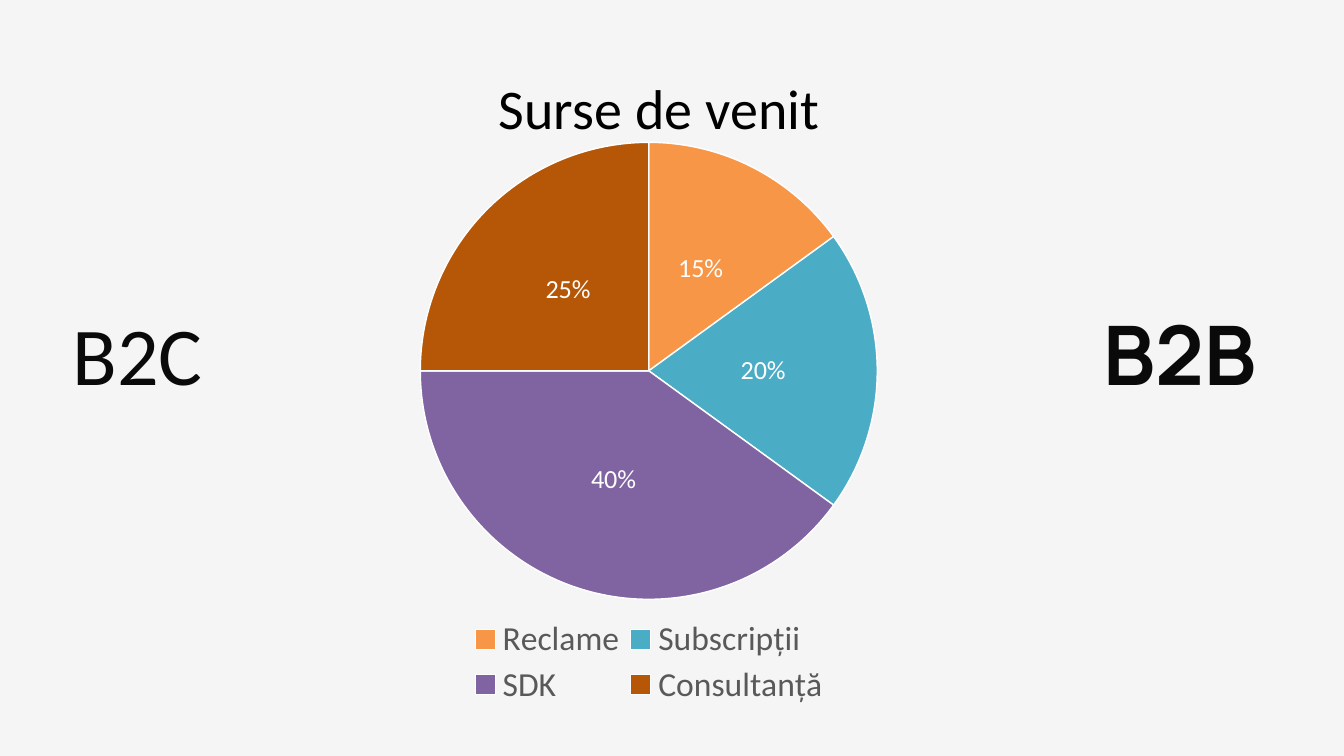
from dataclasses import dataclass

from lxml.etree import SubElement
from pptx import Presentation
from pptx.chart.data import CategoryChartData
from pptx.dml.color import RGBColor
from pptx.enum.chart import XL_CHART_TYPE, XL_LABEL_POSITION, XL_LEGEND_POSITION
from pptx.enum.text import MSO_AUTO_SIZE
from pptx.oxml.ns import qn
from pptx.util import Inches, Pt


@dataclass(frozen=True)
class Theme:
    """Colours, fonts and type sizes of the slide."""
    background: str = "F5F5F5"
    ink: str = "0B0A0A"
    title: str = "000000"
    legend: str = "595959"
    white: str = "FFFFFF"
    slices: tuple = ("F79646", "4BACC6", "8064A2", "B65708")
    body_font: str = "Calibri"
    strong_font: str = "Manrope"
    side_size: int = 88
    side_spacing: float = 57.4
    title_size: int = 60
    legend_size: int = 36
    label_size: int = 28


THEME = Theme()
REVENUE = {"Reclame": 15, "Subscripții": 20, "SDK": 40, "Consultanță": 25}


def style_font(font, size, color, name=THEME.body_font, bold=False):
    """Set the size, colour, typeface and weight of a font."""
    font.size = Pt(size)
    font.color.rgb = RGBColor.from_string(color)
    font.name = name
    font.bold = bold


def add_side_label(s, text, left, font_name, bold=False):
    """Add a large label beside the chart."""
    sp = s.shapes.add_textbox(Inches(left), Inches(5.19), Inches(3.87), Inches(1))
    tf = sp.text_frame
    tf.word_wrap = True
    tf.auto_size = MSO_AUTO_SIZE.SHAPE_TO_FIT_TEXT
    tf.margin_left = tf.margin_right = tf.margin_top = tf.margin_bottom = 0
    p = tf.paragraphs[0]
    p.text = text
    p.line_spacing = Pt(THEME.side_spacing)
    style_font(p.runs[0].font, THEME.side_size, THEME.ink, font_name, bold)


def place(element, index, inner=False, **fractions):
    """Give a chart part a manual layout in fractions of the chart."""
    for old in element.findall(qn("c:layout")):
        element.remove(old)
    layout = SubElement(element, qn("c:layout"))
    element.insert(index, layout)
    manual = SubElement(layout, qn("c:manualLayout"))
    if inner:
        SubElement(manual, qn("c:layoutTarget")).set("val", "inner")
    for axis in ("x", "y"):
        SubElement(manual, qn(f"c:{axis}Mode")).set("val", "edge")
    for key, value in fractions.items():
        SubElement(manual, qn(f"c:{key}")).set("val", str(value))


def add_title(chart, text):
    """Add the chart title."""
    chart.has_title = True
    tf = chart.chart_title.text_frame
    tf.text = text
    style_font(tf.paragraphs[0].runs[0].font, THEME.title_size, THEME.title)
    chart.chart_title.include_in_layout = False
    place(chart._chartSpace.chart.find(qn("c:title")), 1, x=0.24, y=0.03)


def add_legend(chart):
    """Add the legend below the pie."""
    chart.has_legend = True
    legend = chart.legend
    legend.position = XL_LEGEND_POSITION.BOTTOM
    legend.include_in_layout = False
    style_font(legend.font, THEME.legend_size, THEME.legend)
    place(chart._chartSpace.chart.find(qn("c:legend")), 1, x=0.2, y=0.85, w=0.6, h=0.14)


def style_slices(plot):
    """Colour the slices and label them with percentages."""
    plot.vary_by_categories = True
    for i, color in enumerate(THEME.slices):
        fmt = plot.series[0].points[i].format
        fmt.fill.solid()
        fmt.fill.fore_color.rgb = RGBColor.from_string(color)
        fmt.line.color.rgb = RGBColor.from_string(THEME.white)
        fmt.line.width = Pt(1.5)
    labels = plot.series[0].data_labels
    labels.show_percentage = True
    labels.show_value = False
    labels.number_format = "0%"
    labels.number_format_is_linked = False
    labels.position = XL_LABEL_POSITION.CENTER
    style_font(labels.font, THEME.label_size, THEME.white)


def add_revenue_pie(s):
    """Add the pie chart of revenue sources."""
    data = CategoryChartData()
    data.categories = list(REVENUE)
    data.add_series("Series 1", list(REVENUE.values()))
    frame = s.shapes.add_chart(XL_CHART_TYPE.PIE, Inches(5.06), Inches(0.58),
                               Inches(9.19), Inches(10.08), data)
    chart = frame.chart
    style_font(chart.font, 10, THEME.title)
    add_title(chart, "Surse de venit")
    add_legend(chart)
    style_slices(chart.plots[0])
    place(chart._chartSpace.chart.plotArea, 0, inner=True, x=0.13, y=0.15, w=0.74, h=0.68)


def main():
    """Build the slide and save it."""
    prs = Presentation()
    prs.slide_width, prs.slide_height = Inches(20), Inches(11.25)
    s = prs.slides.add_slide(prs.slide_layouts[6])
    fill = s.background.fill
    fill.solid()
    fill.fore_color.rgb = RGBColor.from_string(THEME.background)
    add_side_label(s, "B2C", 1.08, THEME.body_font)
    add_side_label(s, "B2B", 16.42, THEME.strong_font, bold=True)
    add_revenue_pie(s)
    prs.save("out.pptx")


if __name__ == "__main__":
    main()
